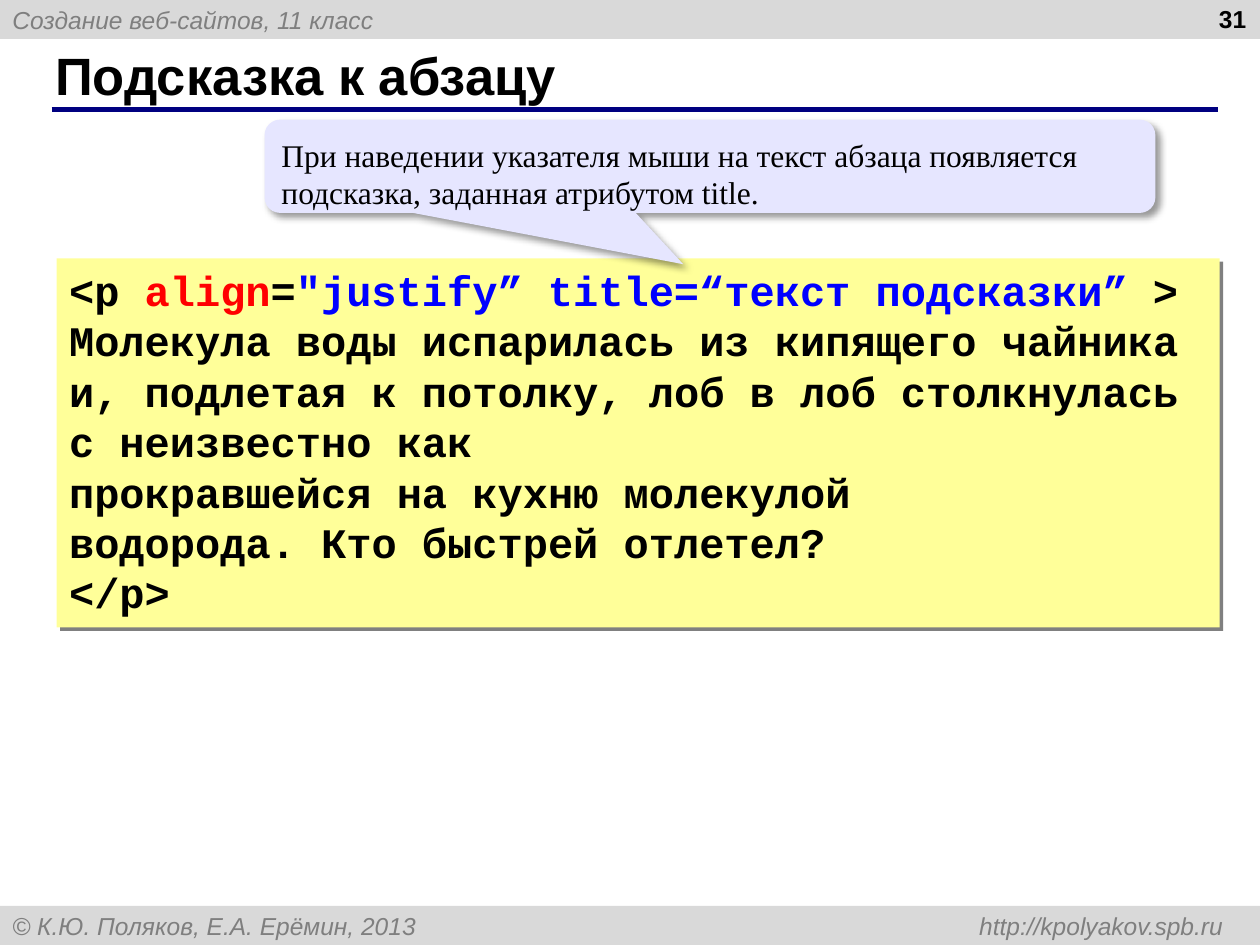
from dataclasses import dataclass

import pptx
import pptx.dml.color
import pptx.enum.shapes
import pptx.enum.text
import pptx.oxml
import pptx.oxml.ns
import pptx.util
from lxml import etree

SHAPE = pptx.enum.shapes.MSO_SHAPE
ANCHOR = pptx.enum.text.MSO_ANCHOR
ALIGN = pptx.enum.text.PP_ALIGN


@dataclass(frozen=True)
class Theme:
    heading_font: str = "Arial"
    code_font: str = "Courier New"
    note_font: str = "Times New Roman"
    title_size: int = 30
    code_size: int = 24
    note_size: int = 18
    small_size: int = 14
    text: str = "000000"
    muted: str = "7F7F7F"
    bar: str = "D9D9D9"
    rule: str = "000080"
    code_fill: str = "FFFF99"
    note_fill: str = "E6E6FF"
    attribute: str = "FF0000"
    value: str = "0000FF"
    code_shadow: str = "808080"
    note_shadow: str = "000000"


def rgb(color):
    return pptx.dml.color.RGBColor.from_string(color)


def add_child(parent, tag, **attributes):
    child = etree.SubElement(parent, pptx.oxml.ns.qn(tag))
    for name, value in attributes.items():
        child.set(name, str(value))
    return child


class SlideBuilder:
    """Places elements on a grid of 100 columns by 75 rows."""

    COLUMNS, ROWS = 100, 75

    def __init__(self, presentation, theme):
        self.theme = theme
        self.column = presentation.slide_width / self.COLUMNS
        self.row = presentation.slide_height / self.ROWS
        self.slide = presentation.slides.add_slide(presentation.slide_layouts[6])

    def box(self, left, top, width, height):
        return (round(left * self.column), round(top * self.row),
                round(width * self.column), round(height * self.row))

    def style(self, paragraph, font, size, color, bold=False, italic=False):
        paragraph.font.name = font
        paragraph.font.size = pptx.util.Pt(size)
        paragraph.font.color.rgb = rgb(color)
        paragraph.font.bold = bold
        paragraph.font.italic = italic

    def shape(self, kind, area, fill):
        shape = self.slide.shapes.add_shape(kind, *self.box(*area))
        shape.shadow.inherit = False
        shape.fill.solid()
        shape.fill.fore_color.rgb = rgb(fill)
        shape.line.fill.background()
        shape.text_frame.word_wrap = True
        shape.text_frame.vertical_anchor = ANCHOR.TOP
        shape.text_frame.paragraphs[0].alignment = ALIGN.LEFT
        return shape

    def shadow(self, shape, color, opacity, blur, distance):
        """Casts a shadow to the lower right; blur and distance are points."""
        effects = shape._element.spPr.find(pptx.oxml.ns.qn("a:effectLst"))
        outer = add_child(effects, "a:outerShdw", blurRad=pptx.util.Pt(blur),
                          dist=pptx.util.Pt(distance), dir=45 * 60000,
                          algn="tl", rotWithShape=0)
        shade = add_child(outer, "a:srgbClr", val=color)
        add_child(shade, "a:alpha", val=opacity * 1000)

    def bar(self, top, height, text, right_tab=None):
        bar = self.shape(SHAPE.RECTANGLE, (0, top, self.COLUMNS, height), self.theme.bar)
        bar.text_frame.vertical_anchor = ANCHOR.MIDDLE
        paragraph = bar.text_frame.paragraphs[0]
        paragraph.text = text
        if right_tab:
            tabs = add_child(paragraph._p.get_or_add_pPr(), "a:tabLst")
            add_child(tabs, "a:tab", pos=round(right_tab * self.column), algn="r")
        self.style(paragraph, self.theme.heading_font, self.theme.small_size,
                   self.theme.muted, italic=True)

    def rule(self, left, right, top):
        start_x, y, length, _ = self.box(left, top, right - left, 0)
        line = self.slide.shapes.add_connector(
            pptx.enum.shapes.MSO_CONNECTOR.STRAIGHT, start_x, y, start_x + length, y)
        line.line.color.rgb = rgb(self.theme.rule)
        line.line.width = pptx.util.Pt(3)
        add_child(line._element.spPr, "a:effectLst")

    def label(self, area, text, size, anchor=ANCHOR.TOP, alignment=ALIGN.LEFT):
        frame = self.slide.shapes.add_textbox(*self.box(*area)).text_frame
        frame.word_wrap = True
        frame.vertical_anchor = anchor
        paragraph = frame.paragraphs[0]
        paragraph.text = text
        paragraph.alignment = alignment
        self.style(paragraph, self.theme.heading_font, size, self.theme.text, bold=True)

    def code(self, area, lines):
        """Each line is a list of (text, color) pieces."""
        panel = self.shape(SHAPE.RECTANGLE, area, self.theme.code_fill)
        self.shadow(panel, self.theme.code_shadow, 100, 0, 2.8)
        frame = panel.text_frame
        frame.margin_right = 0
        for index, pieces in enumerate(lines):
            paragraph = frame.add_paragraph() if index else frame.paragraphs[0]
            paragraph.alignment = ALIGN.LEFT
            self.style(paragraph, self.theme.code_font, self.theme.code_size,
                       self.theme.text, bold=True)
            for text, color in pieces:
                run = paragraph.add_run()
                run.text = text
                run.font.color.rgb = rgb(color)

    def callout(self, area, text, tip):
        """The tip is given as shares of the callout's size from its centre."""
        callout = self.shape(SHAPE.ROUNDED_RECTANGULAR_CALLOUT, area, self.theme.note_fill)
        for index, value in enumerate((*tip, 0.167)):
            callout.adjustments[index] = value
        self.shadow(callout, self.theme.note_shadow, 40, 4, 3)
        callout.text_frame.margin_top = pptx.util.Inches(0.09)
        paragraph = callout.text_frame.paragraphs[0]
        paragraph.text = text
        self.style(paragraph, self.theme.note_font, self.theme.note_size, self.theme.text)


def main():
    theme = Theme()
    presentation = pptx.Presentation()
    presentation.slide_width = pptx.util.Inches(10)
    presentation.slide_height = pptx.util.Inches(7.5)
    builder = SlideBuilder(presentation, theme)

    bar_height = 3.1
    builder.bar(0, bar_height, "Создание веб-сайтов, 11 класс")
    builder.bar(builder.ROWS - bar_height, bar_height,
                "© К.Ю. Поляков, Е.А. Ерёмин, 2013\thttp://kpolyakov.spb.ru",
                right_tab=96.1)
    builder.rule(4.1, 96.7, 8.7)
    builder.label((3.4, 3.3, 91.6, 5.2), "Подсказка к абзацу", theme.title_size,
                  anchor=ANCHOR.MIDDLE)
    builder.label((76.6, -0.2, 23.3, 5.2), "31", theme.small_size, alignment=ALIGN.RIGHT)

    opening_tag = [
        ("<p ", theme.text),
        ("align", theme.attribute),
        ("=", theme.text),
        ("\"justify” title=“текст подсказки” ", theme.value),
        (">", theme.text),
    ]
    body = [
        "Молекула воды испарилась из кипящего чайника и, подлетая к потолку, "
        "лоб в лоб столкнулась с неизвестно как",
        "прокравшейся на кухню молекулой",
        "водорода. Кто быстрей отлетел?",
        "</p>",
    ]
    builder.code((4.5, 20.5, 92.3, 29.3),
                 [opening_tag] + [[(line, theme.text)] for line in body])
    builder.callout((21, 9.5, 70.7, 7.4),
                    "При наведении указателя мыши на текст абзаца появляется "
                    "подсказка, заданная атрибутом title.",
                    tip=(-0.03, 1.05))
    presentation.save("out.pptx")


if __name__ == "__main__":
    main()
